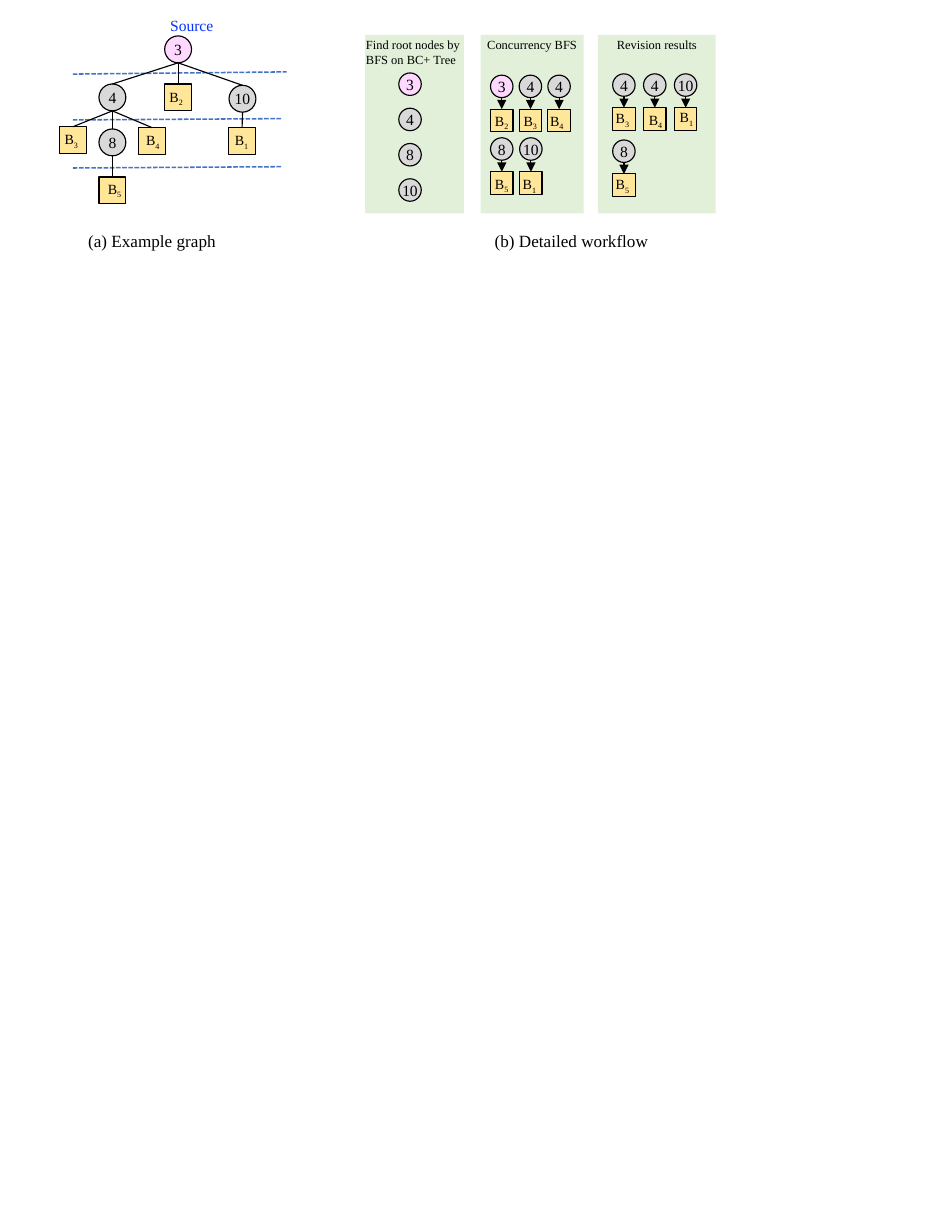
from pptx import Presentation
from pptx.dml.color import RGBColor
from pptx.enum.dml import MSO_LINE_DASH_STYLE as Dash
from pptx.enum.shapes import MSO_CONNECTOR, MSO_SHAPE
from pptx.enum.text import MSO_ANCHOR, PP_ALIGN
from pptx.oxml.ns import qn
from pptx.util import Cm, Pt
from lxml.etree import SubElement

COLOURS = {
    "black": "000000", "source": "0432FF", "level": "4472C4", "root": "FFD8FF",
    "node": "D9D9D9", "block": "FFE699", "panel": "E2F0D9",
}
FONT = "Times New Roman"
TREE_SIZE, FLOW_SIZE = 0.61, 0.51
TOP = 0

# Name: centre x, centre y; blocks also have the shift of their label
TREE_NODES = {"3": (4.04, 1.12), "4": (2.55, 2.21), "10": (5.5, 2.24), "8": (2.55, 3.23)}
TREE_BLOCKS = {
    "B2": (4.04, 2.21, -0.14, -0.03), "B3": (1.65, 3.18, -0.13, -0.03),
    "B4": (3.45, 3.2, -0.08, -0.03), "B1": (5.49, 3.2, -0.11, -0.03),
    "B5": (2.55, 4.32, -0.05, -0.05),
}
TREE_EDGES = [("3", "4"), ("3", "B2"), ("3", "10"), ("4", "B3"), ("4", "8"),
              ("4", "B4"), ("10", "B1"), ("8", "B5")]
LEVELS = [(1.68, 1.63, 6.5), (2.72, 2.69, 6.4), (3.81, 3.78, 6.4)]

# Left, width, header left, header
PANELS = [
    (8.28, 2.24, 8.05, "Find root nodes by BFS on BC+ Tree"),
    (10.9, 2.34, 10.8, "Concurrency BFS"),
    (13.56, 2.67, 13.74, "Revision results"),
]
# First x, step, y, then node, block and label shift of each pair
PAIR_ROWS = [
    (11.38, 0.65, 1.96, [("3", "B2", -0.15, -0.05), ("4", "B3", -0.15, -0.05),
                         ("4", "B4", -0.2, -0.05)]),
    (11.38, 0.66, 3.38, [("8", "B5", -0.15, -0.05), ("10", "B1", -0.18, -0.03)]),
    (14.15, 0.7, 1.93, [("4", "B3", -0.18, -0.08), ("4", "B4", -0.13, -0.05),
                        ("10", "B1", -0.13, -0.1)]),
    (14.15, 0.7, 3.43, [("8", "B5", -0.18, -0.08)]),
]


def colour(name):
    return RGBColor.from_string(COLOURS[name])


def style_paragraph(para, size, ink="black"):
    para.font.name = FONT
    para.font.size = Pt(size)
    para.font.color.rgb = colour(ink)


def add_figure(page, kind, left, top, width, height, fill, outlined=True):
    figure = page.shapes.add_shape(kind, Cm(left), Cm(top), Cm(width), Cm(height))
    figure.shadow.inherit = False
    figure.fill.solid()
    figure.fill.fore_color.rgb = colour(fill)
    if outlined:
        figure.line.color.rgb = colour("black")
        figure.line.width = Pt(0.75)
    else:
        figure.line.fill.background()
    return figure


def add_text(page, left, top, width, height, text, size, ink="black"):
    box = page.shapes.add_textbox(Cm(left), Cm(top), Cm(width), Cm(height))
    box.text_frame.word_wrap = True
    para = box.text_frame.paragraphs[0]
    para.add_run().text = text
    style_paragraph(para, size, ink)
    return para


def add_node(page, name, x, y, size):
    """Draw a numbered circle around the centre x, y."""
    fill = "root" if name == "3" else "node"
    node = add_figure(page, MSO_SHAPE.OVAL, x - size / 2, y - size / 2, size, size, fill)
    frame = node.text_frame
    frame.word_wrap = False
    frame.vertical_anchor = MSO_ANCHOR.MIDDLE
    frame.margin_left = frame.margin_right = frame.margin_top = frame.margin_bottom = 0
    para = frame.paragraphs[0]
    para.add_run().text = name
    para.alignment = PP_ALIGN.CENTER
    style_paragraph(para, 10)
    return node


def add_block(page, name, x, y, size, shift_x, shift_y):
    """Draw a square around the centre x, y with a subscripted label."""
    left, top = x - size / 2, y - size / 2
    block = add_figure(page, MSO_SHAPE.RECTANGLE, left, top, size, size, "block")
    para = add_text(page, left + shift_x, top + shift_y, 0.97, 1.45, name[0], 9)
    index = para.add_run()
    index.text = name[1:]
    index._r.get_or_add_rPr().set("baseline", "-25000")
    return block


def add_line(page, x1, y1, x2, y2, ink="black", width=0.75):
    line = page.shapes.add_connector(MSO_CONNECTOR.STRAIGHT, x1, y1, x2, y2)
    line.line.color.rgb = colour(ink)
    line.line.width = Pt(width)
    SubElement(line._element.spPr, qn("a:effectLst"))
    return line


def add_edge(page, parent, child):
    """Join the bottom of the parent to the top of the child."""
    edge = add_line(page, parent.left + parent.width // 2, parent.top + parent.height,
                    child.left + child.width // 2, child.top)
    edge.end_connect(child, TOP)
    return edge


def add_arrow(page, parent, child):
    arrow = add_edge(page, parent, child)
    SubElement(arrow.line._get_or_add_ln(), qn("a:tailEnd"), type="triangle")


def add_tree(page):
    for start, end, right in LEVELS:
        level = add_line(page, Cm(1.65), Cm(start), Cm(right), Cm(end), "level", 1)
        level.line.dash_style = Dash.SQUARE_DOT
    shapes = {name: add_node(page, name, *centre, TREE_SIZE)
              for name, centre in TREE_NODES.items()}
    for name, (x, y, *shift) in TREE_BLOCKS.items():
        shapes[name] = add_block(page, name, x, y, TREE_SIZE, *shift)
    for parent, child in TREE_EDGES:
        add_edge(page, shapes[parent], shapes[child])
    add_text(page, 3.61, 0.23, 1.73, 0.69, "Source", 10, "source")
    add_text(page, 1.75, 5.1, 4.9, 0.73, "(a) Example graph", 11)


def add_workflow(page):
    for left, width, header_left, header in PANELS:
        add_figure(page, MSO_SHAPE.RECTANGLE, left, 0.79, width, 4.05, "panel", False)
        add_text(page, header_left, 0.71, 2.67, 0.61, header, 8)
    for row, name in enumerate(("3", "4", "8", "10")):
        add_node(page, name, 9.3, 1.91 + 0.8 * row, FLOW_SIZE)
    for first_x, step, y, pairs in PAIR_ROWS:
        for column, (node_name, block_name, *shift) in enumerate(pairs):
            x = first_x + column * step
            node = add_node(page, node_name, x, y, FLOW_SIZE)
            block = add_block(page, block_name, x, y + 0.77, FLOW_SIZE, *shift)
            add_arrow(page, node, block)
    add_text(page, 10.97, 5.1, 4.9, 0.73, "(b) Detailed workflow", 11)


def main():
    deck = Presentation()
    deck.slide_width, deck.slide_height = Cm(21.59), Cm(27.94)
    page = deck.slides.add_slide(deck.slide_layouts[6])
    add_tree(page)
    add_workflow(page)
    deck.save("out.pptx")


if __name__ == "__main__":
    main()
